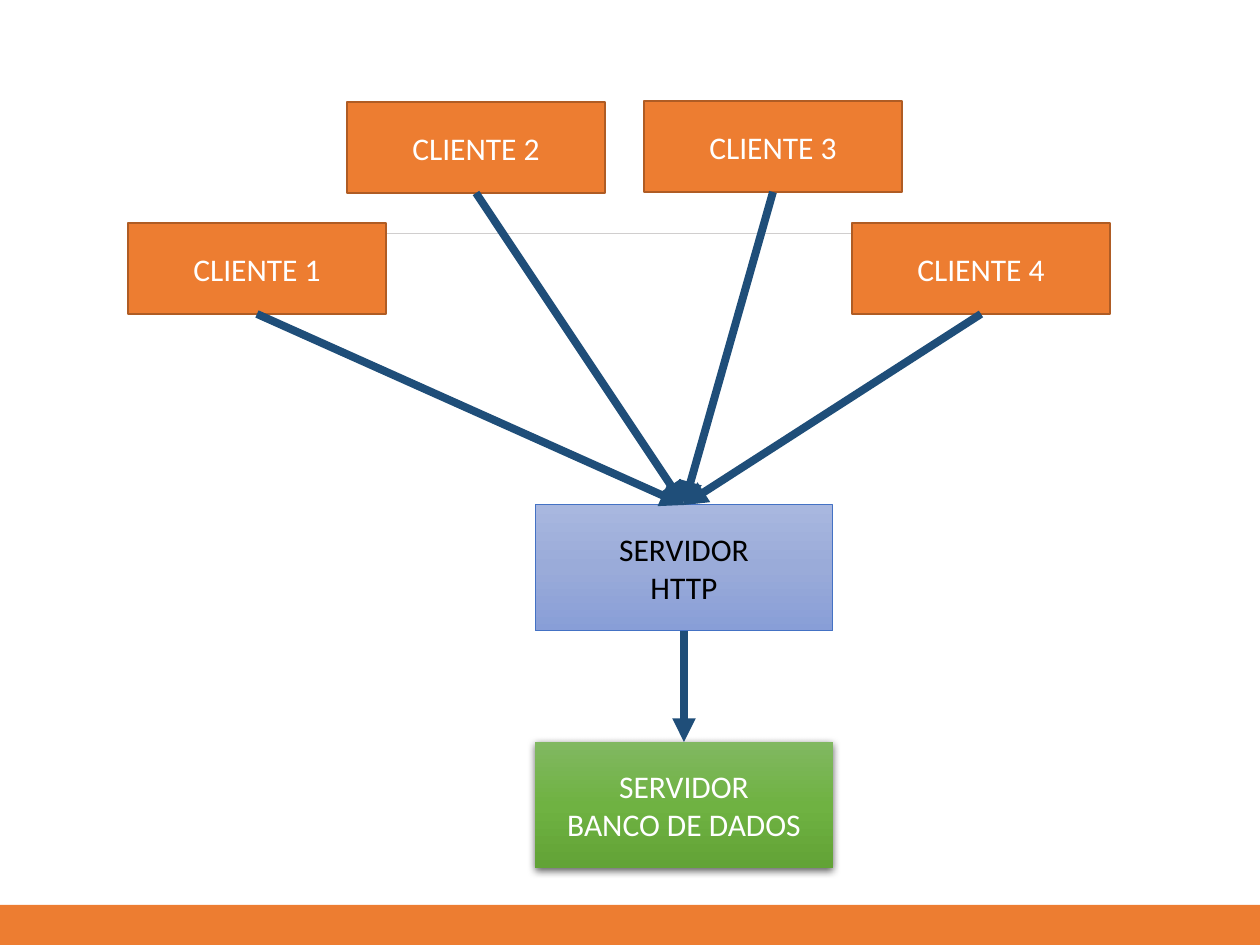
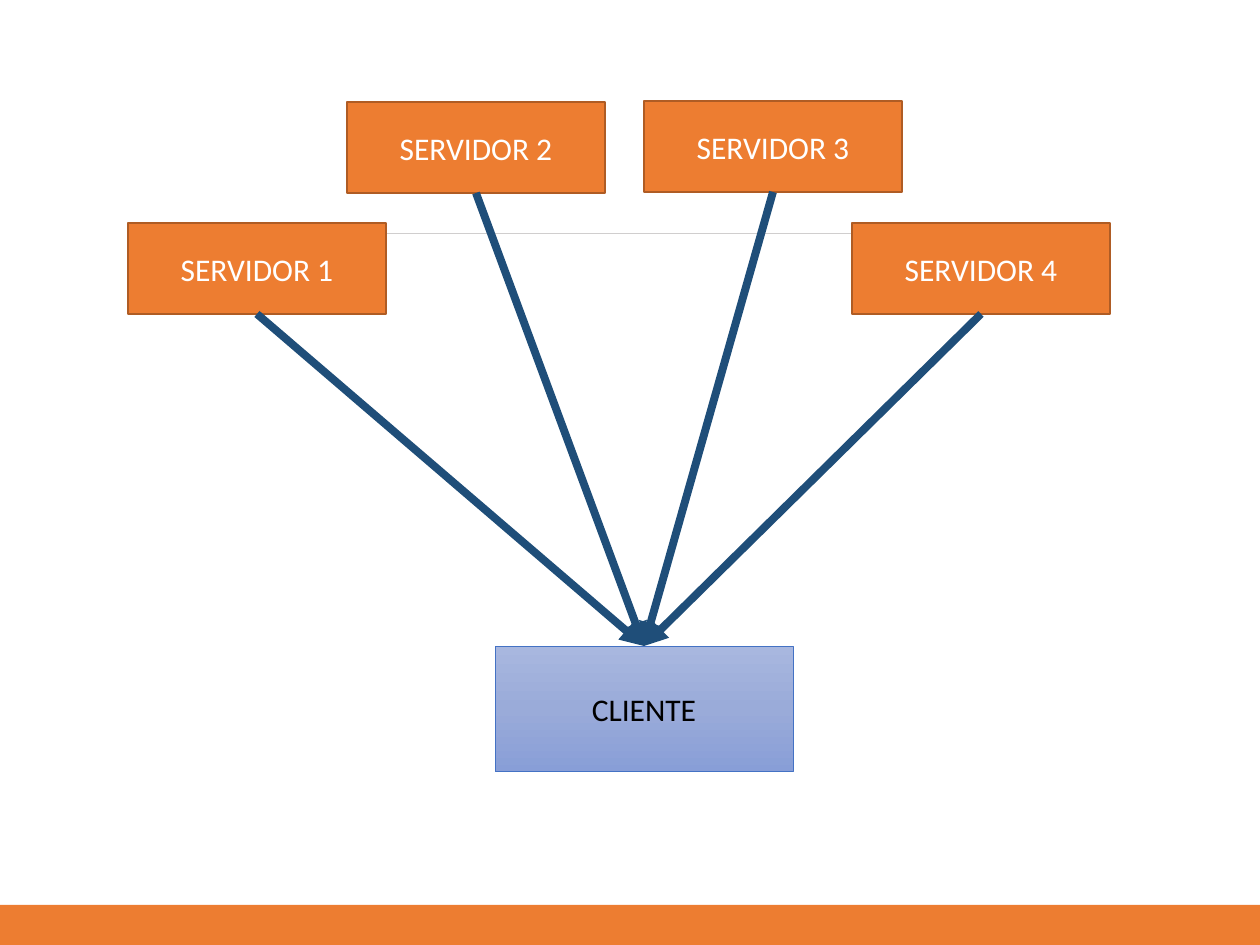
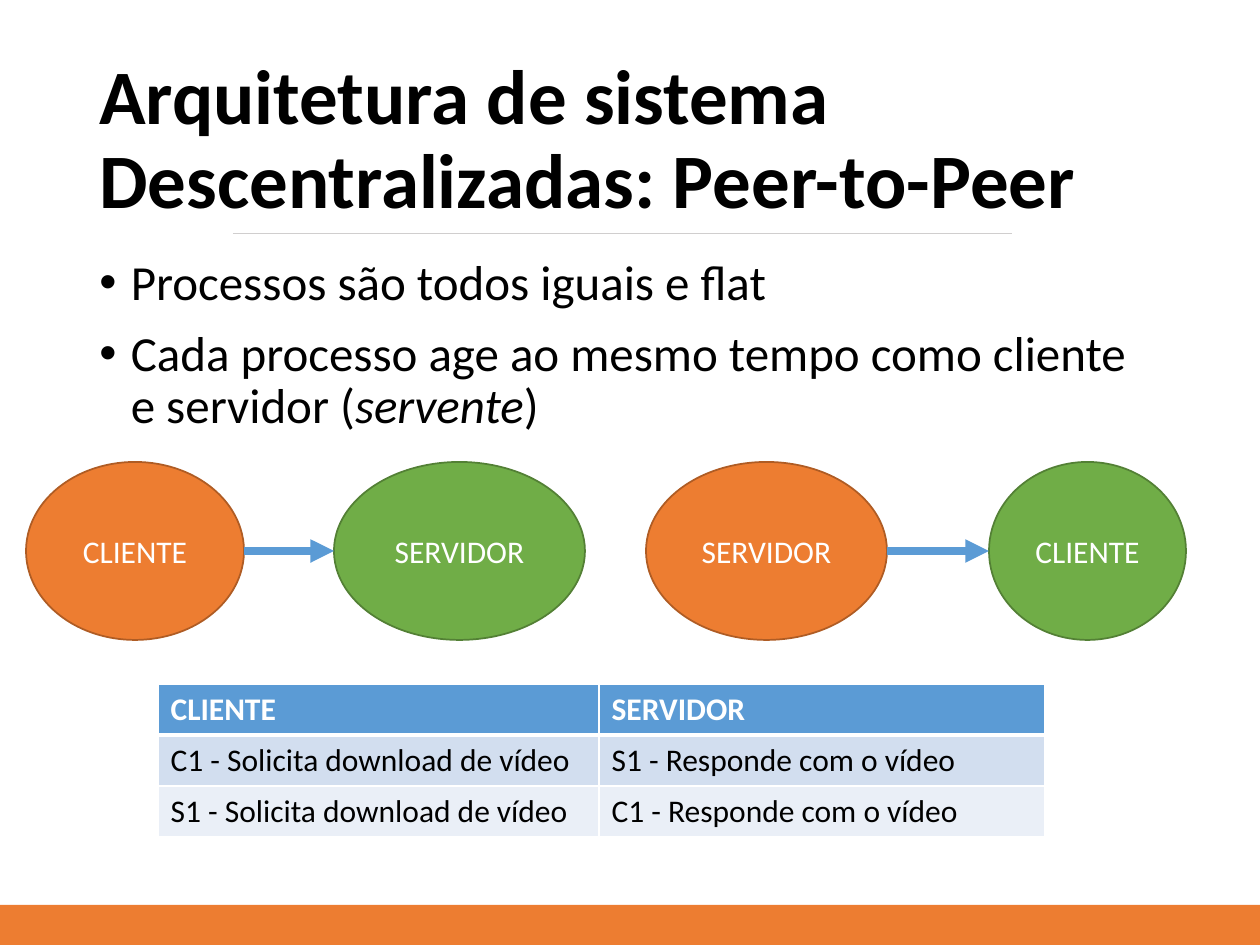
from copy import deepcopy

from lxml.etree import SubElement
from pptx import Presentation
from pptx.dml.color import RGBColor
from pptx.enum.shapes import MSO_CONNECTOR, MSO_SHAPE
from pptx.enum.text import MSO_ANCHOR, PP_ALIGN
from pptx.oxml.ns import qn
from pptx.util import Emu, Pt

EMU_PER_PX = 914400 / 126
SLIDE_WIDTH, SLIDE_HEIGHT = 1260, 945
TOP, BOTTOM = 0, 2

WHITE = RGBColor(0xFF, 0xFF, 0xFF)
BLACK = RGBColor(0x00, 0x00, 0x00)
ORANGE = RGBColor(0xED, 0x7D, 0x31)
DARK_ORANGE = RGBColor(0xAF, 0x5C, 0x24)
GREEN = RGBColor(0x70, 0xAD, 0x47)
DARK_GREEN = RGBColor(0x53, 0x80, 0x35)
BLUE = RGBColor(0x5B, 0x9B, 0xD5)
NAVY = RGBColor(0x1F, 0x4E, 0x79)
HUB_EDGE = RGBColor(0x44, 0x72, 0xC4)
RULE_GRAY = RGBColor(0xD0, 0xCE, 0xCE)
BAND_DARK = RGBColor(0xD2, 0xDE, 0xEF)
BAND_LIGHT = RGBColor(0xEA, 0xEF, 0xF7)
HUB_GRADIENT = (RGBColor(0xA8, 0xB7, 0xDF), RGBColor(0x9A, 0xAB, 0xD9), RGBColor(0x88, 0x9E, 0xD7))
DATABASE_GRADIENT = (RGBColor(0x81, 0xB8, 0x61), RGBColor(0x6F, 0xB2, 0x42), RGBColor(0x62, 0xA3, 0x36))

LABEL = {"name": "Calibri", "size": Pt(18)}
HEADING = {"name": "Calibri", "size": Pt(44), "bold": True}
BODY = {"name": "Calibri", "size": Pt(28)}

PEER_SIZE = (258, 91)
PEER_CORNERS = ((128, 223), (347, 102), (644, 101), (852, 223))
HUB_SIZE = (298, 126)
ELLIPSE_TOP, ELLIPSE_HEIGHT = 462, 178


def px(*lengths):
    return [Emu(round(length * EMU_PER_PX)) for length in lengths]


def set_format(target, values):
    for attribute, value in values.items():
        setattr(target, attribute, value)


def style_font(font, values, color):
    set_format(font, values)
    font.color.rgb = color


def add_figure(slide, kind, box, fill, edge=None, edge_width=1, text="", color=WHITE):
    """Add a preset shape; several colours as fill make a vertical gradient."""
    figure = slide.shapes.add_shape(kind, *px(*box))
    figure.shadow.inherit = False
    if isinstance(fill, RGBColor):
        figure.fill.solid()
        figure.fill.fore_color.rgb = fill
    else:
        fill_gradient(figure, fill)
    if edge is None:
        figure.line.fill.background()
    else:
        figure.line.color.rgb = edge
        figure.line.width = Pt(edge_width)
    if text:
        frame = figure.text_frame
        frame.text = text
        set_format(frame, {"word_wrap": True, "vertical_anchor": MSO_ANCHOR.MIDDLE})
        for paragraph in frame.paragraphs:
            paragraph.alignment = PP_ALIGN.CENTER
            style_font(paragraph.runs[0].font, LABEL, color)
    return figure


def fill_gradient(figure, colors):
    figure.fill.gradient()
    figure.fill.gradient_angle = 270
    stop_list = figure._element.spPr.find(".//" + qn("a:gsLst"))
    while len(stop_list) < len(colors):
        stop_list.append(deepcopy(stop_list[0]))
    for index, (stop, color) in enumerate(zip(figure.fill.gradient_stops, colors)):
        stop.color.rgb = color
        stop.position = index / (len(colors) - 1)


def cast_shadow(figure):
    effects = figure._element.spPr.find(qn("a:effectLst"))
    shadow = SubElement(effects, qn("a:outerShdw"), blurRad=str(Pt(4.5)), dist=str(Pt(1.5)),
                        dir="5400000", algn="ctr", rotWithShape="0")
    black = SubElement(shadow, qn("a:srgbClr"), val="000000")
    SubElement(black, qn("a:alpha"), val="63000")


def add_line(slide, ends, color, width, arrow=False):
    line = slide.shapes.add_connector(MSO_CONNECTOR.STRAIGHT, *px(*ends))
    line.line.color.rgb = color
    line.line.width = Pt(width)
    if arrow:
        SubElement(line.get_or_add_ln(), qn("a:tailEnd"), type="triangle")
    SubElement(line._element.spPr, qn("a:effectLst"))
    return line


def link_down(slide, upper, lower):
    arrow = add_line(slide, (0, 0, 0, 0), NAVY, 4.5, arrow=True)
    arrow.begin_connect(upper, BOTTOM)
    arrow.end_connect(lower, TOP)


def new_slide(deck):
    """Add a slide with the shared footer band and title rule."""
    slide = deck.slides.add_slide(deck.slide_layouts[6])
    add_figure(slide, MSO_SHAPE.RECTANGLE, (0, 905, SLIDE_WIDTH, 40), ORANGE)
    add_line(slide, (233, 233, 1012, 233), RULE_GRAY, 0.5)
    return slide


def add_star(slide, peer_name, hub_name, hub_corner):
    """Draw four numbered peers that point to one hub, and return the hub."""
    hub = add_figure(slide, MSO_SHAPE.RECTANGLE, (*hub_corner, *HUB_SIZE), HUB_GRADIENT,
                     HUB_EDGE, 0.5, hub_name, BLACK)
    for number, corner in enumerate(PEER_CORNERS, start=1):
        peer = add_figure(slide, MSO_SHAPE.RECTANGLE, (*corner, *PEER_SIZE), ORANGE,
                          DARK_ORANGE, text=f"{peer_name} {number}")
        link_down(slide, peer, hub)
    return hub


def add_text_frame(slide, box, anchor):
    frame = slide.shapes.add_textbox(*px(*box)).text_frame
    set_format(frame, {"word_wrap": True, "vertical_anchor": anchor})
    return frame


def add_title(slide, text):
    frame = add_text_frame(slide, (87, 50, 1086, 183), MSO_ANCHOR.MIDDLE)
    frame.text = text
    paragraph = frame.paragraphs[0]
    paragraph.line_spacing = 0.9
    style_font(paragraph.runs[0].font, HEADING, BLACK)


def add_bullets(slide, items):
    """Write bullets, each a list of (text, italic) pieces."""
    frame = add_text_frame(slide, (87, 252, 1086, 600), MSO_ANCHOR.TOP)
    for index, pieces in enumerate(items):
        paragraph = frame.add_paragraph() if index else frame.paragraphs[0]
        set_format(paragraph, {"line_spacing": 0.9, "space_before": Pt(10)})
        properties = paragraph._p.get_or_add_pPr()
        properties.set("marL", str(Pt(18)))
        properties.set("indent", str(-Pt(18)))
        SubElement(properties, qn("a:buFont"), typeface="Arial")
        SubElement(properties, qn("a:buChar"), char="•")
        for text, italic in pieces:
            run = paragraph.add_run()
            run.text = text
            style_font(run.font, BODY | {"italic": italic}, BLACK)


def add_exchange(slide, source, target):
    """Join two ellipses, each (left, width, name), with an arrow."""
    colors = ((ORANGE, DARK_ORANGE), (GREEN, DARK_GREEN))
    for (left, width, name), (fill, edge) in zip((source, target), colors):
        add_figure(slide, MSO_SHAPE.OVAL, (left, ELLIPSE_TOP, width, ELLIPSE_HEIGHT),
                   fill, edge, text=name)
    middle = ELLIPSE_TOP + ELLIPSE_HEIGHT // 2
    add_line(slide, (source[0] + source[1], middle, target[0], middle), BLUE, 4.5, arrow=True)


def set_borders(cell, widths):
    properties = cell._tc.get_or_add_tcPr()
    for index, (side, width) in enumerate(widths.items()):
        border = SubElement(properties, qn(f"a:ln{side}"), w=str(Pt(width)))
        fill = SubElement(border, qn("a:solidFill"))
        SubElement(fill, qn("a:srgbClr"), val=str(WHITE))
        properties.insert(index, border)


def add_request_table(slide, rows):
    column_widths, row_height = (441, 446), 51
    box = (158, 684, sum(column_widths), row_height * len(rows))
    table = slide.shapes.add_table(len(rows), len(column_widths), *px(*box)).table
    for column, width in zip(table.columns, px(*column_widths)):
        column.width = width
    fills = (BLUE, BAND_DARK, BAND_LIGHT)
    for r, (texts, fill) in enumerate(zip(rows, fills)):
        header = r == 0
        for c, text in enumerate(texts):
            cell = table.cell(r, c)
            cell.text = text
            cell.fill.solid()
            cell.fill.fore_color.rgb = fill
            style_font(cell.text_frame.paragraphs[0].runs[0].font,
                       LABEL | {"bold": header}, WHITE if header else BLACK)
            set_borders(cell, {"L": 1, "R": 1, "T": 3 if r == 1 else 1, "B": 3 if header else 1})


def main():
    deck = Presentation()
    deck.slide_width, deck.slide_height = px(SLIDE_WIDTH, SLIDE_HEIGHT)

    web = new_slide(deck)
    http_server = add_star(web, "CLIENTE", "SERVIDOR\nHTTP", (535, 505))
    database = add_figure(web, MSO_SHAPE.RECTANGLE, (535, 742, *HUB_SIZE), DATABASE_GRADIENT,
                          text="SERVIDOR\nBANCO DE DADOS")
    cast_shadow(database)
    link_down(web, http_server, database)

    add_star(new_slide(deck), "SERVIDOR", "CLIENTE", (495, 646))

    peers = new_slide(deck)
    add_title(peers, "Arquitetura de sistema Descentralizadas: Peer-to-Peer")
    add_bullets(peers, [
        [("Processos são todos iguais e flat", False)],
        [("Cada processo age ao mesmo tempo como cliente e servidor (", False),
         ("servente", True), (")", False)],
    ])
    add_exchange(peers, (26, 218, "CLIENTE"), (334, 251, "SERVIDOR"))
    add_exchange(peers, (646, 241, "SERVIDOR"), (989, 197, "CLIENTE"))
    add_request_table(peers, [
        ("CLIENTE", "SERVIDOR"),
        ("C1 - Solicita download de vídeo", "S1 - Responde com o vídeo"),
        ("S1 - Solicita download de vídeo", "C1 - Responde com o vídeo"),
    ])
    deck.save("out.pptx")


if __name__ == "__main__":
    main()
